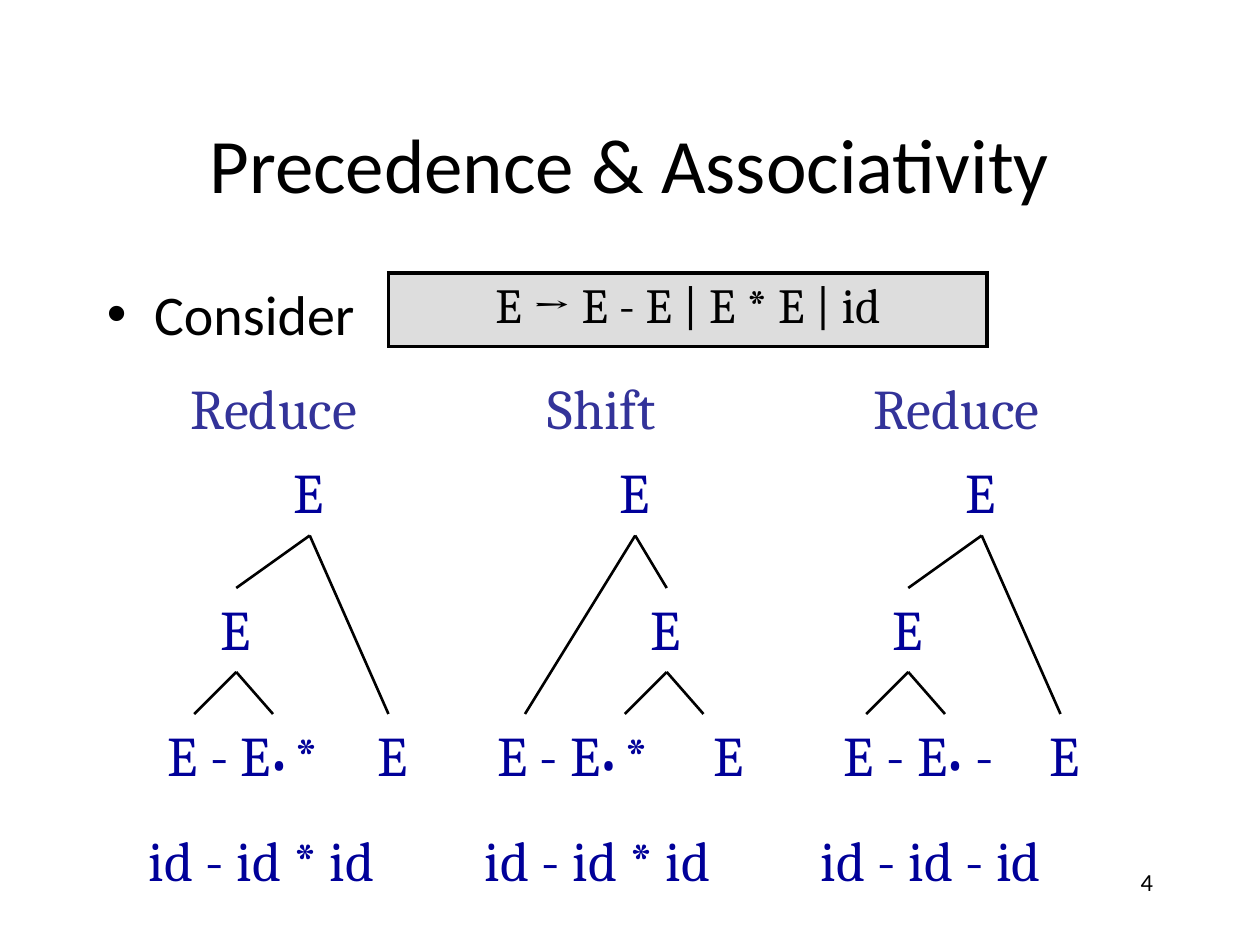
from lxml.etree import SubElement
from pptx import Presentation
from pptx.dml.color import RGBColor
from pptx.enum.shapes import MSO_CONNECTOR
from pptx.enum.text import MSO_ANCHOR, PP_ALIGN
from pptx.oxml.ns import qn
from pptx.util import Emu, Pt

PX = 9525
BLACK = RGBColor(0x00, 0x00, 0x00)
GREY = RGBColor(0xDD, 0xDD, 0xDD)
INDIGO = RGBColor(0x33, 0x33, 0x99)
NAVY = RGBColor(0x00, 0x00, 0x99)
SANS, SERIF, COMIC = "Calibri", "Cambria", "Comic Neue"

TITLE = "Precedence & Associativity"
GRAMMAR = "E → E - E | E * E | id"
SPACE = (" ", 32, COMIC, False)
STAR = [("• ", 20, SERIF, True), ("*", 32, SERIF, False)]
MINUS = [("•", 20, SERIF, True), (" -", 32, SERIF, False)]
TREES = [
    dict(action="Reduce", action_x=136, input="id - id * id", input_x=104,
         stack=[SPACE, ("E - E", 32, SERIF, False)] + STAR, stack_x=104, stack_w=184,
         root=200, inner=144, leaf=264, far=296),
    dict(action="Shift", action_x=408, input="id - id * id", input_x=360,
         stack=[(" E - E", 32, SERIF, False)] + STAR, stack_x=360, stack_w=208,
         root=448, inner=472, leaf=520, far=400),
    dict(action="Reduce", action_x=656, input="id - id - id", input_x=616,
         stack=[(" E - E", 32, SERIF, False)] + MINUS, stack_x=624, stack_w=208,
         root=712, inner=656, leaf=776, far=808),
]
ACTION_Y, ROOT_Y, INNER_Y, LEAF_Y, INPUT_Y = 280, 344, 448, 544, 624
NODE_W, ROW_H = 72, 64
TOP, BOTTOM = 0, 2

prs = Presentation()
prs.slide_width, prs.slide_height = Emu(960 * PX), Emu(720 * PX)
slide = prs.slides.add_slide(prs.slide_layouts[5])
shapes = slide.shapes


def px(*values):
    return [Emu(v * PX) for v in values]


def add_runs(p, runs, color):
    for text, size, font, bold in runs:
        r = p.add_run()
        r.text = text
        r.font.size, r.font.name, r.font.bold = Pt(size), font, bold
        r.font.color.rgb = color


def add_text(x, y, w, h, runs, color, align=PP_ALIGN.LEFT):
    sp = shapes.add_textbox(*px(x, y, w, h))
    sp.text_frame.word_wrap = True
    p = sp.text_frame.paragraphs[0]
    p.alignment = align
    add_runs(p, runs, color)
    return sp


def add_label(x, y, w, text, color):
    add_text(x, y, w, ROW_H, [(text, 32, SERIF, False)], color)


def add_node(x, y):
    return add_text(x, y, NODE_W, ROW_H, [SPACE, ("E", 32, SERIF, False)], NAVY)


def add_branch(parent, end_x, end_y, child=None):
    start = parent.left + parent.width // 2, parent.top + parent.height
    line = shapes.add_connector(MSO_CONNECTOR.STRAIGHT, *start, *px(end_x, end_y))
    line.begin_connect(parent, BOTTOM)
    if child is not None:
        line.end_connect(child, TOP)
    line.line.color.rgb = BLACK
    line.line.width = Pt(1.5)
    SubElement(line._element.spPr, qn("a:effectLst"))


def add_border(cell, width):
    tcPr = cell._tc.get_or_add_tcPr()
    for i, side in enumerate(("lnL", "lnR", "lnT", "lnB")):
        ln = SubElement(tcPr, qn(f"a:{side}"), w=str(Pt(width)))
        fill = SubElement(ln, qn("a:solidFill"))
        SubElement(fill, qn("a:srgbClr"), val=str(BLACK))
        tcPr.insert(i, ln)


title = shapes.title
title.left, title.top, title.width, title.height = px(72, 64, 816, 120)
title.text_frame.vertical_anchor = MSO_ANCHOR.MIDDLE
p = title.text_frame.paragraphs[0]
p.alignment = PP_ALIGN.CENTER
add_runs(p, [(TITLE, 44, SANS, False)], BLACK)

body = add_text(72, 208, 816, 432, [("Consider", 32, SANS, False)], BLACK)
pPr = body.text_frame.paragraphs[0]._p.get_or_add_pPr()
pPr.set("marL", str(36 * PX))
pPr.set("indent", str(-36 * PX))
SubElement(pPr, qn("a:buFont"), typeface="Arial")
SubElement(pPr, qn("a:buChar"), char="•")

table = shapes.add_table(1, 1, *px(296, 208, 456, 56)).table
table.first_row = table.horz_banding = False
cell = table.cell(0, 0)
cell.fill.solid()
cell.fill.fore_color.rgb = GREY
add_border(cell, 2.25)
p = cell.text_frame.paragraphs[0]
p.alignment = PP_ALIGN.CENTER
add_runs(p, [(GRAMMAR, 28, SERIF, False)], BLACK)

for tree in TREES:
    add_label(tree["action_x"], ACTION_Y, 168, tree["action"], INDIGO)
    add_label(tree["input_x"], INPUT_Y, 232, tree["input"], NAVY)
    add_text(tree["stack_x"], LEAF_Y, tree["stack_w"], ROW_H, tree["stack"], NAVY)
    root = add_node(tree["root"], ROOT_Y)
    inner = add_node(tree["inner"], INNER_Y)
    add_node(tree["leaf"], LEAF_Y)
    middle = tree["inner"] + NODE_W // 2
    add_branch(root, middle, INNER_Y, inner)
    add_branch(root, tree["far"], LEAF_Y)
    add_branch(inner, middle - 32, LEAF_Y)
    add_branch(inner, middle + 28, LEAF_Y)

add_text(688, 656, 200, 48, [("4", 14, SANS, False)], BLACK, PP_ALIGN.RIGHT)

prs.save("out.pptx")
